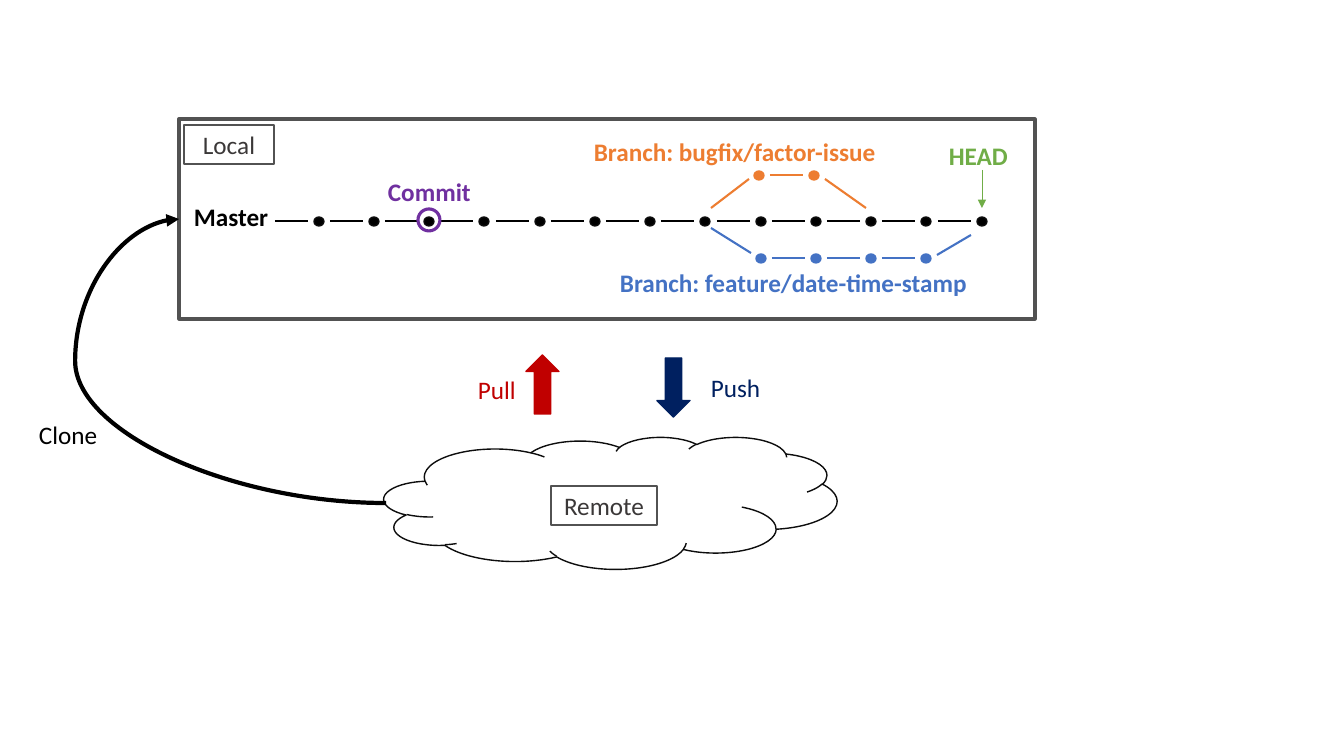
from dataclasses import dataclass

from lxml.etree import SubElement
from pptx import Presentation
from pptx.dml.color import RGBColor
from pptx.enum.shapes import MSO_CONNECTOR, MSO_SHAPE
from pptx.enum.text import MSO_ANCHOR, MSO_AUTO_SIZE, PP_ALIGN
from pptx.oxml.ns import qn
from pptx.util import Pt

SCALE = 914400 / 100.8


@dataclass(frozen=True)
class Theme:
    font: str = "Calibri"
    size: float = 18
    master: str = "000000"
    outline: str = "0D0D0D"
    frame: str = "525252"
    tag: str = "3B3838"
    bugfix: str = "ED7D31"
    feature: str = "4472C4"
    head: str = "70AD47"
    commit: str = "7030A0"
    pull: str = "C00000"
    push: str = "002060"
    hairline: float = 0.5
    thin: float = 1
    medium: float = 1.5
    strong: float = 2.25
    heavy: float = 3


THEME = Theme()


@dataclass(frozen=True)
class Box:
    left: int
    top: int
    width: int
    height: int

    def at(self, left, top, width, height):
        return Box(self.left + left, self.top + top, width, height)

    def emu(self):
        return [px(value) for value in (self.left, self.top, self.width, self.height)]


def px(value):
    return round(value * SCALE)


def set_format(target, values):
    for name, value in values.items():
        setattr(target, name, value)


def set_line(line, color, weight):
    line.color.rgb = RGBColor.from_string(color)
    line.width = Pt(weight)


def write(frame, words, color, bold=False):
    run = frame.paragraphs[0].add_run()
    run.text = words
    set_format(run.font, {"name": THEME.font, "size": Pt(THEME.size), "bold": bold})
    run.font.color.rgb = RGBColor.from_string(color)


def add_figure(shapes, kind, box, line, weight, fill=None):
    figure = shapes.add_shape(kind, *box.emu())
    figure.shadow.inherit = False
    if fill:
        figure.fill.solid()
        figure.fill.fore_color.rgb = RGBColor.from_string(fill)
    else:
        figure.fill.background()
    set_line(figure.line, line, weight)
    return figure


def add_label(shapes, box, words, color, bold=False):
    label = shapes.add_textbox(*box.emu())
    set_format(label.text_frame, {"word_wrap": False, "auto_size": MSO_AUTO_SIZE.SHAPE_TO_FIT_TEXT})
    write(label.text_frame, words, color, bold)


def add_tag(shapes, box, words):
    tag = add_figure(shapes, MSO_SHAPE.RECTANGLE, box, THEME.frame, THEME.medium)
    tag.text_frame.vertical_anchor = MSO_ANCHOR.MIDDLE
    write(tag.text_frame, words, THEME.tag)
    tag.text_frame.paragraphs[0].alignment = PP_ALIGN.CENTER


def add_link(shapes, box, start, end, color, weight=THEME.medium, arrow=False, kind=MSO_CONNECTOR.STRAIGHT):
    ends = [px(value) for x, y in (start, end) for value in (box.left + x, box.top + y)]
    link = shapes.add_connector(kind, *ends)
    set_line(link.line, color, weight)
    properties = link._element.spPr
    if arrow:
        SubElement(properties.find(qn("a:ln")), qn("a:tailEnd"), type="triangle")
    SubElement(properties, qn("a:effectLst"))
    return link


def draw_track(shapes, box, centers, y, color, outline, linked):
    for center in centers:
        add_figure(shapes, MSO_SHAPE.OVAL, box.at(center - 5, y - 4, 10, 9), outline, THEME.thin, color)
    for center in linked:
        add_link(shapes, box, (center - 44, y), (center - 11, y), color)


def draw_local(slide, box):
    add_figure(slide.shapes, MSO_SHAPE.RECTANGLE, box, THEME.frame, THEME.strong)
    history = slide.shapes.add_group_shape().shapes
    commits = [140 + slot * 663 // 12 for slot in range(13)]
    feature_commits = commits[8:12]
    bugfix_commits = [center - 2 for center in commits[8:10]]
    tracks = [
        (commits, 102, THEME.master, THEME.outline, commits),
        (feature_commits, 139, THEME.feature, THEME.feature, feature_commits[1:]),
        (bugfix_commits, 56, THEME.bugfix, THEME.bugfix, bugfix_commits[1:]),
    ]
    for track in tracks:
        draw_track(history, box, *track)
    forks_and_merges = [
        ((532, 109), (572, 134), THEME.feature),
        ((792, 116), (758, 136), THEME.feature),
        ((570, 60), (532, 89), THEME.bugfix),
        ((646, 60), (687, 89), THEME.bugfix),
    ]
    for start, end, color in forks_and_merges:
        add_link(history, box, start, end, color)
    add_link(history, box, (commits[-1], 51), (commits[-1], 89), THEME.head, THEME.hairline, True)
    add_figure(history, MSO_SHAPE.OVAL, box.at(commits[2] - 11, 90, 22, 22), THEME.commit, THEME.strong)
    captions = [
        (5, 77, 95, "Master", THEME.master),
        (405, 12, 305, "Branch: bugfix/factor-issue", THEME.bugfix),
        (431, 143, 370, "Branch: feature/date-time-stamp", THEME.feature),
        (760, 16, 80, "HEAD", THEME.head),
        (199, 52, 104, "Commit", THEME.commit),
    ]
    for left, top, width, words, color in captions:
        add_label(history, box.at(left, top, width, 40), words, color, True)
    add_tag(slide.shapes, box.at(5, 6, 90, 39), "Local")


def draw_remote(slide, box):
    add_tag(slide.shapes, box.at(167, 49, 106, 39), "Remote")
    add_figure(slide.shapes, MSO_SHAPE.CLOUD, box, THEME.outline, THEME.thin)


def draw_sync(slide, box):
    directions = [
        ("Pull", THEME.pull, (58, 0), 0, (0, 14, 58, 40)),
        ("Push", THEME.push, (189, 3), 180, (233, 12, 71, 40)),
    ]
    for words, color, corner, rotation, caption in directions:
        arrow = add_figure(slide.shapes, MSO_SHAPE.UP_ARROW, box.at(*corner, 33, 59), color, THEME.thin, color)
        arrow.rotation = rotation
        add_label(slide.shapes, box.at(*caption), words, color)


def draw_clone(slide, box):
    curve = add_link(
        slide.shapes, box, (150, 0), (box.width, box.height), THEME.master, THEME.heavy, True, MSO_CONNECTOR.CURVE
    )
    properties = curve._element.spPr
    properties.find(qn("a:xfrm")).set("rot", str(180 * 60000))
    geometry = properties.find(qn("a:prstGeom"))
    guides = geometry.find(qn("a:avLst"))
    if guides is None:
        guides = SubElement(geometry, qn("a:avLst"))
    SubElement(guides, qn("a:gd"), name="adj1", fmla="val 150200")
    add_label(slide.shapes, box.at(0, 195, 80, 40), "Clone", THEME.master)


deck = Presentation()
set_format(deck, {"slide_width": px(1344), "slide_height": px(756)})
workflow = deck.slides.add_slide(deck.slide_layouts[6])
draw_local(workflow, Box(179, 119, 856, 200))
draw_remote(workflow, Box(384, 437, 453, 132))
draw_sync(workflow, Box(468, 355, 304, 62))
draw_clone(workflow, Box(29, 219, 357, 284))
deck.save("out.pptx")
